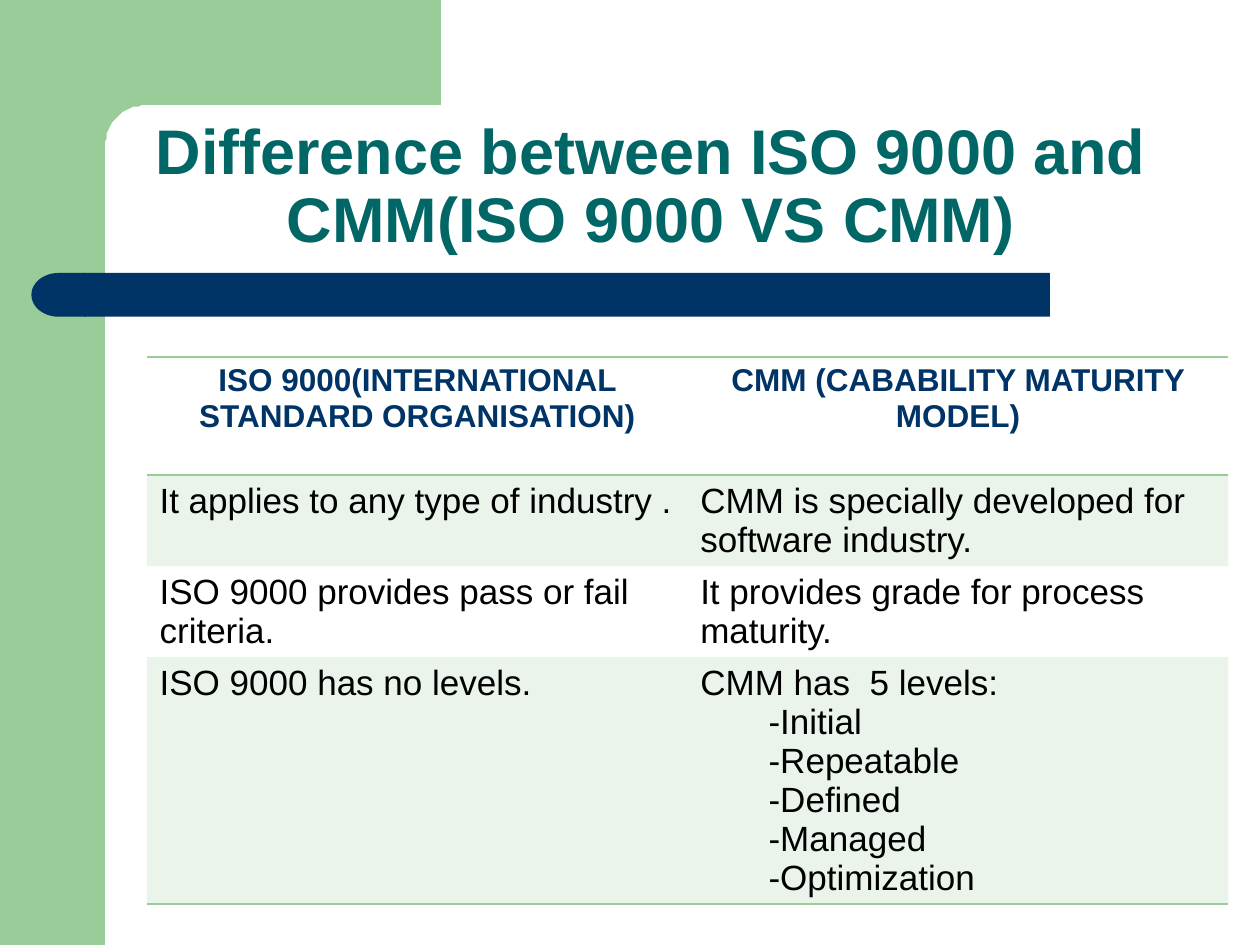
import math

from pptx import Presentation
from pptx.dml.color import RGBColor
from pptx.enum import shapes, text
from pptx.oxml import parse_xml
from pptx.oxml.ns import nsdecls, qn
from pptx.util import Pt

COLORS = {"green": "99CC99", "navy": "003366", "teal": "006666", "black": "000000"}
NO_STYLE = "{2D5ABB26-0587-4C30-8999-92F81FD0307C}"


def paint(sp, color):
    sp.shadow.inherit = False
    sp.fill.solid()
    sp.fill.fore_color.rgb = RGBColor.from_string(COLORS[color])
    sp.line.fill.background()


def set_font(p, size, color, bold):
    for name, value in {"name": "Arial", "size": Pt(size), "bold": bold}.items():
        setattr(p.font, name, value)
    p.font.color.rgb = RGBColor.from_string(COLORS[color])


prs = Presentation()
prs.slide_width, prs.slide_height = Pt(720), Pt(540)
s = prs.slides.add_slide(prs.slide_layouts[5])

# Green side band and the top block with its rounded inner corner
band = s.shapes.add_shape(shapes.MSO_SHAPE.RECTANGLE, 0, 0, Pt(60), Pt(540))
paint(band, "green")

radius, inner = 23.5, 60
center = inner + radius
arc = [(center - radius * math.sin(math.radians(a)),
        center - radius * math.cos(math.radians(a))) for a in range(0, 91, 6)]
outline = [(252, 0), (252, inner), *arc, (inner, 92), (36, 92), (36, 0)]
builder = s.shapes.build_freeform(*outline[0], scale=Pt(1))
builder.add_line_segments(outline[1:], close=True)
paint(builder.convert_to_shape(), "green")

# Navy bar with a round left end
bar = s.shapes.add_shape(shapes.MSO_SHAPE.RECTANGLE, Pt(48), Pt(156), Pt(552), Pt(25))
paint(bar, "navy")
cap = s.shapes.add_shape(shapes.MSO_SHAPE.FLOWCHART_DELAY, Pt(18), Pt(156), Pt(31), Pt(25))
cap.element.spPr.find(qn("a:xfrm")).set("flipH", "1")
paint(cap, "navy")

# Title, in front of the decoration
title = s.shapes.title
title.element.getparent().append(title.element)
title.left, title.top, title.width, title.height = Pt(60), Pt(60), Pt(624), Pt(90)
tf = title.text_frame
tf.text = "Difference between ISO 9000 and CMM(ISO 9000 VS CMM)"
tf.word_wrap = True
tf.auto_size = text.MSO_AUTO_SIZE.NONE
tf.vertical_anchor = text.MSO_ANCHOR.BOTTOM
p = tf.paragraphs[0]
p.alignment = text.PP_ALIGN.CENTER
p.line_spacing = 0.9
set_font(p, 36, "teal", True)

# Comparison table
rows = [
    ("ISO 9000(INTERNATIONAL STANDARD ORGANISATION)", "CMM (CABABILITY MATURITY MODEL)"),
    ("It applies to any type of industry .",
     "CMM is specially developed for software industry."),
    ("ISO 9000 provides pass or fail criteria.", "It provides grade for process maturity."),
    ("ISO 9000 has no levels.",
     "CMM has  5 levels:\n-Initial\n-Repeatable\n-Defined\n-Managed\n-Optimization"),
]
heights = [67.5, 52, 52, 141]
borders = {0: ["lnT", "lnB"], len(rows) - 1: ["lnB"]}

frame = s.shapes.add_table(len(rows), 2, Pt(84), Pt(204), Pt(618), Pt(sum(heights)))
table = frame.table
table.horz_banding = False
frame.element.find(".//" + qn("a:tableStyleId")).text = NO_STYLE

for i, row in enumerate(rows):
    table.rows[i].height = Pt(heights[i])
    for j, words in enumerate(row):
        cell = table.cell(i, j)
        cell.text = words
        for p in cell.text_frame.paragraphs:
            if p.text.startswith("-"):
                p._p.get_or_add_pPr().set("marL", str(Pt(39)))
            if i == 0:
                p.alignment = text.PP_ALIGN.CENTER
                set_font(p, 18, "navy", True)
            else:
                set_font(p, 20, "black", False)

        tc_pr = cell._tc.get_or_add_tcPr()
        for side in borders.get(i, []):
            tc_pr.append(parse_xml(
                f'<a:{side} {nsdecls("a")} w="{Pt(1)}"><a:solidFill>'
                f'<a:srgbClr val="{COLORS["green"]}"/></a:solidFill></a:{side}>'))
        if i % 2:
            tc_pr.append(parse_xml(
                f'<a:solidFill {nsdecls("a")}><a:srgbClr val="{COLORS["green"]}">'
                '<a:alpha val="20000"/></a:srgbClr></a:solidFill>'))
        else:
            cell.fill.background()

prs.save("out.pptx")
